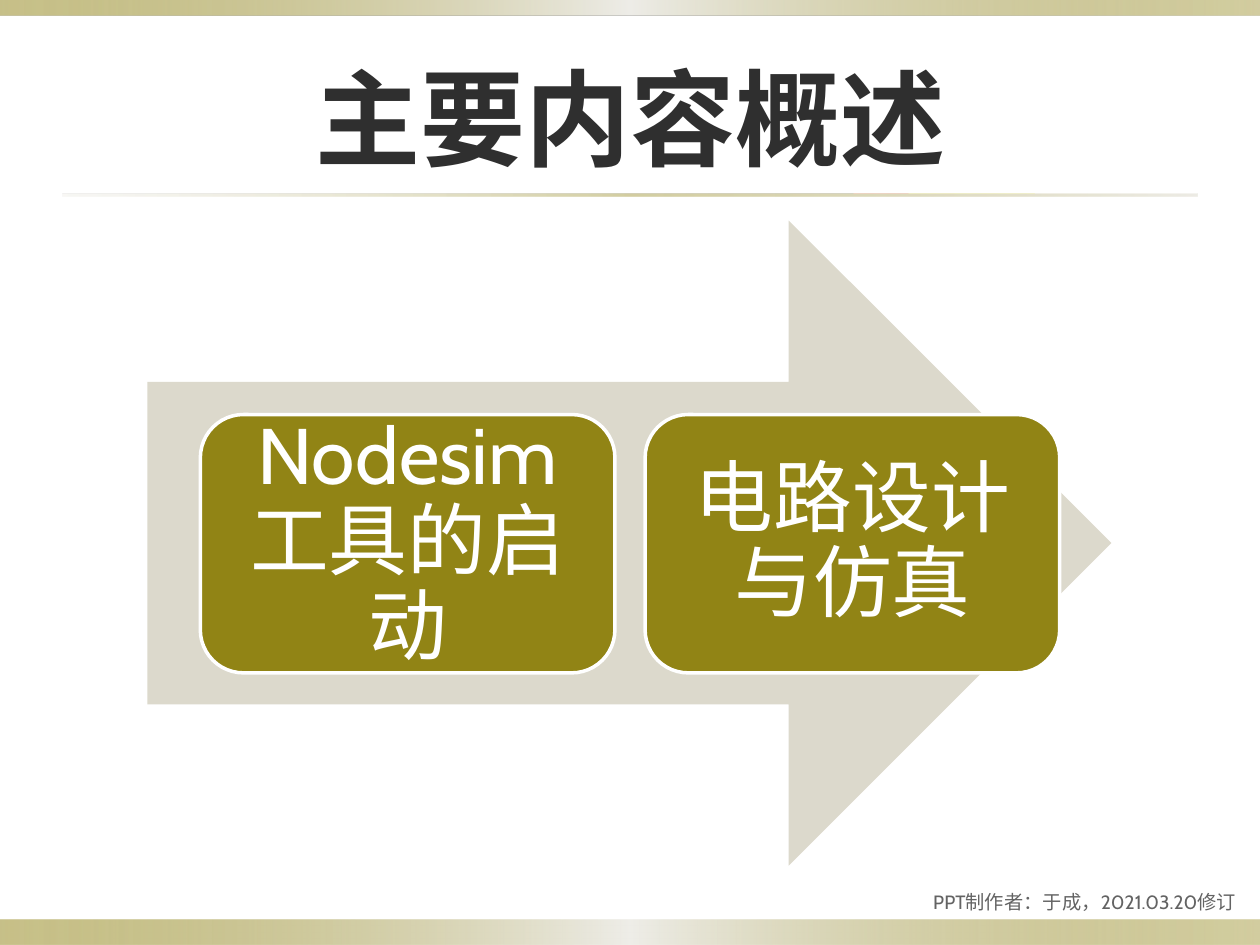
from dataclasses import dataclass

from lxml import etree
from pptx import Presentation
from pptx.dml.color import RGBColor
from pptx.enum.shapes import MSO_SHAPE
from pptx.enum.text import MSO_ANCHOR, MSO_AUTO_SIZE, PP_ALIGN
from pptx.oxml.ns import qn
from pptx.util import Inches, Pt

RECT = MSO_SHAPE.RECTANGLE
ROUNDED = MSO_SHAPE.ROUNDED_RECTANGLE
ARROW = MSO_SHAPE.RIGHT_ARROW
CENTER, RIGHT = PP_ALIGN.CENTER, PP_ALIGN.RIGHT
MIDDLE = MSO_ANCHOR.MIDDLE
NO_AUTOFIT = MSO_AUTO_SIZE.NONE
TITLE_ONLY = 5


@dataclass(frozen=True)
class Theme:
    font: str = "Cabin"
    olive: str = "918415"
    sand: str = "DCD9CC"
    mist: str = "EEEDE8"
    ink: str = "2F2F2F"
    grey: str = "636363"
    white: str = "FFFFFF"
    title_size: int = 60
    step_size: int = 45
    footer_size: int = 11


class SlideBuilder:
    def __init__(self, prs, theme):
        self.theme = theme
        self.slide = prs.slides.add_slide(prs.slide_layouts[TITLE_ONLY])

    def set_text(self, shape, text, size, color, align, bold=False, inset=None):
        tf = shape.text_frame
        tf.word_wrap = True
        tf.auto_size = NO_AUTOFIT
        tf.vertical_anchor = MIDDLE
        if inset is not None:
            tf.margin_left = tf.margin_right = Inches(inset)
            tf.margin_top = tf.margin_bottom = Inches(inset)
        p = tf.paragraphs[0]
        p.text = text
        p.alignment = align
        p.font.name = self.theme.font
        p.font.size = Pt(size)
        p.font.bold = bold
        p.font.color.rgb = RGBColor.from_string(color)
        return p

    def shape(self, kind, box, fill=None):
        s = self.slide.shapes.add_shape(kind, *map(Inches, box))
        s.shadow.inherit = False
        s.line.fill.background()
        if fill:
            s.fill.solid()
            s.fill.fore_color.rgb = RGBColor.from_string(fill)
        return s

    def gradient_bar(self, box, stops):
        """Draw a left-to-right gradient; stops are (position %, colour, opacity %)."""
        s = self.shape(RECT, box)
        s.fill.gradient()
        s.fill.gradient_angle = 0
        gs_list = next(s._element.iter(qn("a:gsLst")))
        for old in list(gs_list):
            gs_list.remove(old)
        for pos, color, opacity in stops:
            gs = etree.SubElement(gs_list, qn("a:gs"), pos=str(pos * 1000))
            clr = etree.SubElement(gs, qn("a:srgbClr"), val=color)
            etree.SubElement(clr, qn("a:alpha"), val=str(opacity * 1000))

    def title(self, text, box):
        s = self.slide.shapes.title
        s.left, s.top, s.width, s.height = map(Inches, box)
        self.set_text(s, text, self.theme.title_size, self.theme.ink, CENTER, bold=True)

    def step(self, text, box):
        s = self.shape(ROUNDED, box, self.theme.olive)
        s.line.color.rgb = RGBColor.from_string(self.theme.white)
        s.line.width = Pt(2)
        p = self.set_text(s, text, self.theme.step_size, self.theme.white, CENTER,
                          inset=0.29)
        p.line_spacing = 0.9

    def footer(self, text, box):
        s = self.slide.shapes.add_textbox(*map(Inches, box))
        self.set_text(s, text, self.theme.footer_size, self.theme.grey, RIGHT)


def main():
    prs = Presentation()
    prs.slide_width, prs.slide_height = Inches(10), Inches(7.5)
    theme = Theme()
    b = SlideBuilder(prs, theme)

    band = [(0, theme.olive, 50), (50, theme.mist, 100), (100, theme.olive, 40)]
    rule = [(0, theme.sand, 20), (50, theme.olive, 40), (100, theme.sand, 50)]
    b.gradient_bar((0, 7.3, 10, 0.2), band)
    b.gradient_bar((0, 0, 10, 0.12), band)
    b.gradient_bar((0.5, 1.54, 9, 0.02), rule)

    b.title("主要内容概述", (0.5, 0.3, 9, 1.25))
    b.shape(ARROW, (1.17, 1.75, 7.65, 5.12), theme.sand)
    step_width, gap = 3.29, 0.24
    for i, text in enumerate(("Nodesim工具的启动", "电路设计与仿真")):
        b.step(text, (1.59 + i * (step_width + gap), 3.29, step_width, 2.05))
    b.footer("PPT制作者：于成，2021.03.20修订", (5.83, 7, 4.08, 0.31))

    prs.save("out.pptx")


if __name__ == "__main__":
    main()
